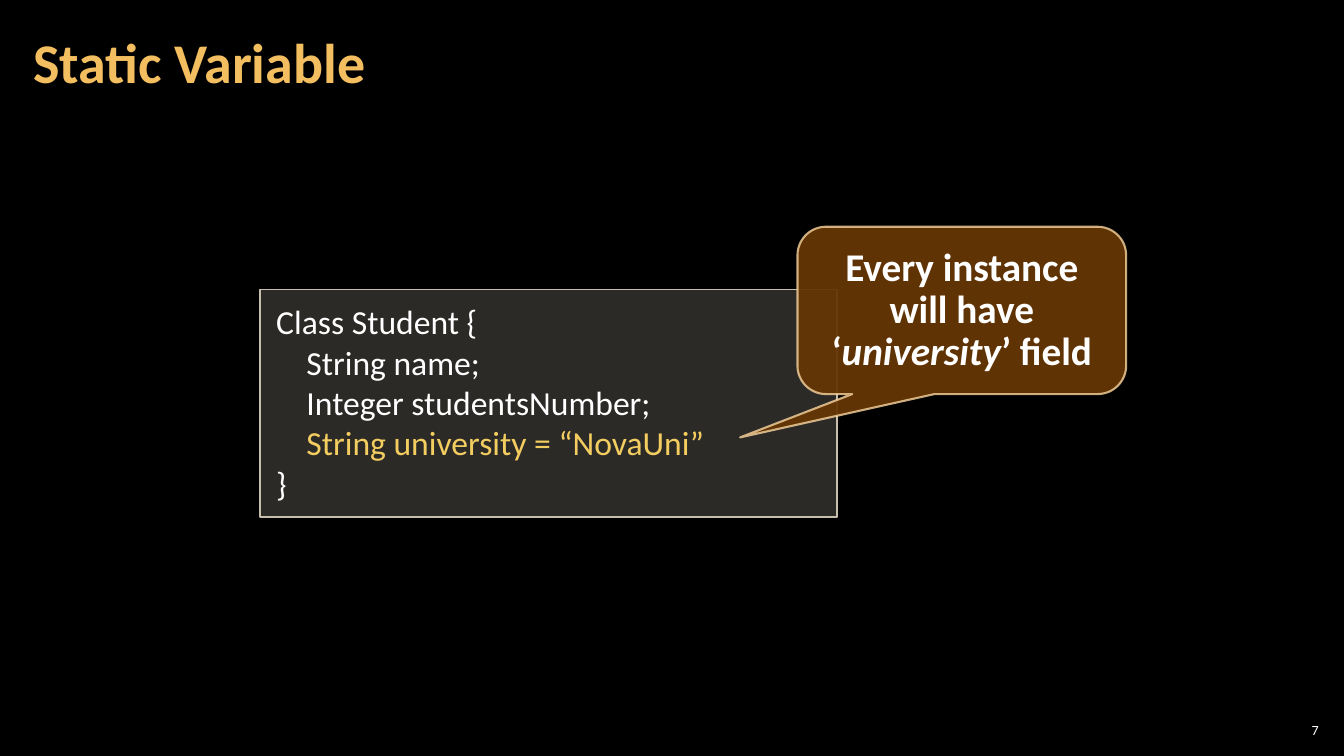
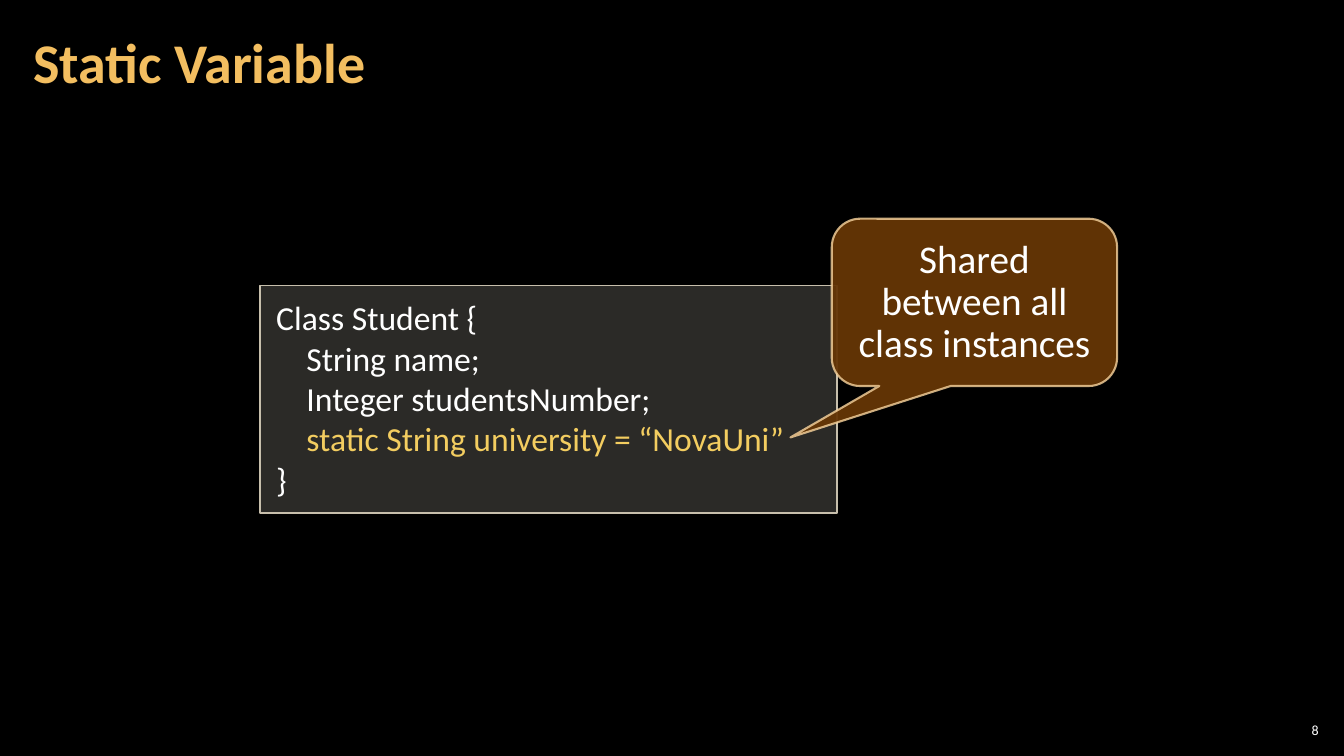
from dataclasses import dataclass

from lxml import etree
from pptx import Presentation
from pptx.dml.color import RGBColor
from pptx.enum.shapes import MSO_SHAPE
from pptx.enum.text import MSO_ANCHOR, MSO_AUTO_SIZE, PP_ALIGN
from pptx.oxml.ns import qn
from pptx.util import Inches, Pt

RECTANGLE = MSO_SHAPE.RECTANGLE
CALLOUT = MSO_SHAPE.ROUNDED_RECTANGULAR_CALLOUT
TOP, MIDDLE = MSO_ANCHOR.TOP, MSO_ANCHOR.MIDDLE
LEFT, CENTER, RIGHT = PP_ALIGN.LEFT, PP_ALIGN.CENTER, PP_ALIGN.RIGHT
GROW, FIXED = MSO_AUTO_SIZE.SHAPE_TO_FIT_TEXT, MSO_AUTO_SIZE.NONE
TITLE_ONLY = 5


@dataclass(frozen=True)
class Theme:
    font: str = "Calibri"
    background: str = "000000"
    text: str = "FFFFFF"
    title: str = "F3BE60"
    highlight: str = "F3CD60"
    code_fill: str = "D9D5C7"
    code_line: str = "C7BFAC"
    callout_fill: str = "663606"
    callout_line: str = "F8D49E"
    title_size: int = 40
    callout_size: int = 28
    code_size: int = 24
    number_size: int = 10


THEME = Theme()


def color(value):
    return RGBColor.from_string(value)


def place(shape, box):
    shape.left, shape.top, shape.width, shape.height = map(Inches, box)


def style_frame(frame, anchor, across, down):
    frame.word_wrap = True
    frame.auto_size = FIXED
    frame.vertical_anchor = anchor
    frame.margin_left = frame.margin_right = Inches(across)
    frame.margin_top = frame.margin_bottom = Inches(down)


def style_para(para, size, ink=THEME.text, align=LEFT, bold=False):
    para.alignment = align
    para.font.name = THEME.font
    para.font.size = Pt(size)
    para.font.bold = bold
    para.font.color.rgb = color(ink)


def set_opacity(element, percent):
    for value in element.iter(qn("a:srgbClr")):
        etree.SubElement(value, qn("a:alpha")).set("val", str(percent * 1000))


def add_panel(page, kind, box, fill, fill_opacity, line, line_width):
    panel = page.shapes.add_shape(kind, *map(Inches, box))
    panel.shadow.inherit = False
    panel.fill.solid()
    panel.fill.fore_color.rgb = color(fill)
    set_opacity(panel.element.spPr, fill_opacity)
    panel.line.color.rgb = color(line)
    panel.line.width = Pt(line_width)
    return panel


def add_title(page, box, text):
    title = page.shapes.title
    place(title, box)
    style_frame(title.text_frame, MIDDLE, 0.12, 0.04)
    title.text_frame.text = text
    para = title.text_frame.paragraphs[0]
    style_para(para, THEME.title_size, THEME.title, bold=True)
    para.line_spacing = 0.9


def add_number(page, box, number):
    frame = page.shapes.add_textbox(*map(Inches, box)).text_frame
    style_frame(frame, MIDDLE, 0.04, 0.04)
    frame.text = str(number)
    style_para(frame.paragraphs[0], THEME.number_size, align=RIGHT)


def add_code(page, box, field):
    panel = add_panel(page, RECTANGLE, box, THEME.code_fill, 20, THEME.code_line, 1)
    frame = panel.text_frame
    style_frame(frame, TOP, 0.16, 0.12)
    frame.auto_size = GROW
    members = ("String name;", "Integer studentsNumber;", field)
    frame.text = "\n".join(("Class Student {", *members, "}"))
    for para in frame.paragraphs:
        ink = THEME.highlight if para.text == field else THEME.text
        style_para(para, THEME.code_size, ink)
        if para.text in members:
            para._p.get_or_add_pPr().set("marL", str(Inches(0.3)))


def add_callout(page, box, tip, spans, bold):
    panel = add_panel(page, CALLOUT, box, THEME.callout_fill, 95,
                      THEME.callout_line, 1.5)
    set_opacity(panel.line._get_or_add_ln(), 80)
    left, top, width, height = box
    panel.adjustments[0] = (tip[0] - left) / width - 0.5
    panel.adjustments[1] = (tip[1] - top) / height - 0.5
    panel.adjustments[2] = 0.17
    style_frame(panel.text_frame, MIDDLE, 0.1, 0.05)
    para = panel.text_frame.paragraphs[0]
    style_para(para, THEME.callout_size, align=CENTER, bold=bold)
    para.line_spacing = Pt(30)
    for text, italic in spans:
        span = para.add_run()
        span.text = text
        if italic:
            span.font.italic = True


def add_code_page(deck, number, code_top, field, callout):
    page = deck.slides.add_slide(deck.slide_layouts[TITLE_ONLY])
    add_number(page, (12.65, 7.14, 0.47, 0.21), number)
    add_title(page, (0.21, 0.04, 10.47, 1.21), "Static Variable")
    add_code(page, (2.58, code_top, 5.72, 2.26), field)
    add_callout(page, **callout)


def main():
    deck = Presentation()
    deck.slide_width, deck.slide_height = Inches(13.33), Inches(7.5)
    backdrop = deck.slide_master.background.fill
    backdrop.solid()
    backdrop.fore_color.rgb = color(THEME.background)

    field = "String university = “NovaUni”"
    add_code_page(deck, 7, 2.87, field, {
        "box": (7.91, 2.25, 3.26, 1.66),
        "tip": (7.34, 4.34),
        "spans": [("Every instance will have ‘", False),
                  ("university", True), ("’ field", False)],
        "bold": True,
    })
    add_code_page(deck, 8, 2.83, "static " + field, {
        "box": (8.25, 2.17, 2.83, 1.66),
        "tip": (7.84, 4.34),
        "spans": [("Shared between all class instances", False)],
        "bold": False,
    })
    deck.save("out.pptx")


if __name__ == "__main__":
    main()
